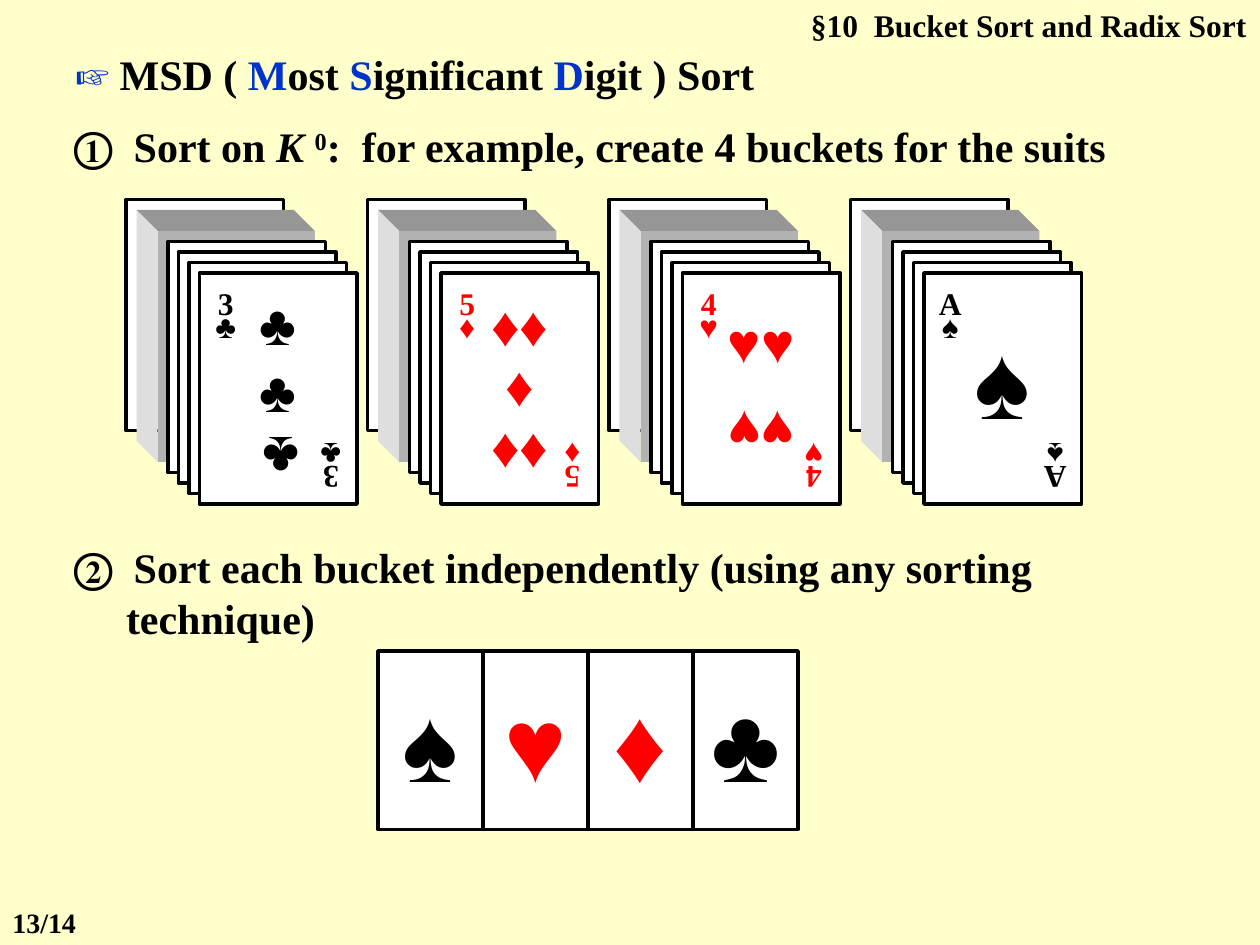
from dataclasses import dataclass
from typing import Any

from lxml.etree import SubElement
from pptx import Presentation
from pptx.dml.color import RGBColor
from pptx.enum.shapes import MSO_SHAPE as Shape
from pptx.enum.text import MSO_ANCHOR as Anchor, MSO_AUTO_SIZE as AutoSize, PP_ALIGN as Align
from pptx.oxml.ns import qn
from pptx.util import Pt

FONT = "Times New Roman"
BLACK, RED, BLUE, WHITE = "000000", "FF0000", "0033CC", "FFFFFF"
CARD_W, CARD_H = 90, 132
BUCKET_X, BUCKET_Y, BUCKET_STEP = 72, 114, 138
BLOCK, DEPTH = 18, 12
FRONT_CARDS = (24, 30, 36, 42)


@dataclass(frozen=True)
class Run:
    text: str
    color: str = BLACK
    italic: bool = False
    baseline: int = 0


@dataclass(frozen=True)
class Pips:
    x: float
    y: float
    w: float
    h: float
    lines: tuple[str, ...]
    size: float = 32
    spacing: float = 1
    rotation: float = 0


@dataclass(frozen=True)
class Bucket:
    rank: str
    suit: str
    color: str
    pips: tuple[Pips, ...]


BUCKETS = (
    Bucket("3", "♣", BLACK, (Pips(63, 54, 48, 72, ("♣", "♣")),
                             Pips(66, 128, 45, 42, ("♣",), rotation=180))),
    Bucket("5", "♦", RED, (Pips(63, 54, 48, 108, ("♦♦", "♦", "♦♦"), spacing=0.9),)),
    Bucket("4", "♥", RED, (Pips(63, 60, 48, 42, ("♥♥",)),
                           Pips(63, 113, 48, 42, ("♥♥",), rotation=180))),
    Bucket("A", "♠", BLACK, (Pips(63, 66, 48, 72, ("♠",), size=60),)),
)
SUITS = (("♠", BLACK), ("♥", RED), ("♦", RED), ("♣", BLACK))


def rgb(color: str) -> RGBColor:
    return RGBColor.from_string(color)


def place(sp: Any, x: float, y: float, w: float, h: float) -> Any:
    sp.left, sp.top, sp.width, sp.height = Pt(x), Pt(y), Pt(w), Pt(h)
    return sp


def write(sp: Any, *lines: tuple[Run, ...], size: float = 24, align: Any = Align.LEFT,
          anchor: Any = Anchor.TOP, spacing: float = 1, side: float = 0,
          wrap: bool = True, hang: float = 0) -> None:
    tf = sp.text_frame
    tf.auto_size, tf.word_wrap, tf.vertical_anchor = AutoSize.NONE, wrap, anchor
    tf.margin_left = tf.margin_right = Pt(side)
    tf.margin_top = tf.margin_bottom = Pt(3.6)
    for i, line in enumerate(lines):
        p = tf.add_paragraph() if i else tf.paragraphs[0]
        p.alignment, p.line_spacing, p.space_before = align, spacing, Pt(0)
        pPr = p._p.get_or_add_pPr()
        pPr.set("marL", str(Pt(hang)))
        pPr.set("indent", str(-Pt(hang)))
        SubElement(pPr, qn("a:buNone"))
        for run in line:
            r = p.add_run()
            r.text = run.text
            f = r.font
            f.name, f.size, f.bold, f.italic = FONT, Pt(size), True, run.italic
            f.color.rgb = rgb(run.color)
            if run.baseline:
                r._r.get_or_add_rPr().set("baseline", str(run.baseline * 1000))


def paint(sp: Any, fill: str, line: str | None = None) -> Any:
    sp.shadow.inherit = False
    sp.fill.solid()
    sp.fill.fore_color.rgb = rgb(fill)
    if line:
        sp.line.color.rgb = rgb(line)
        sp.line.width = Pt(2)
    else:
        sp.line.fill.background()
    return sp


def add_rect(shapes: Any, x: float, y: float, w: float, h: float,
             fill: str = WHITE, line: str | None = BLACK) -> Any:
    sp = shapes.add_shape(Shape.RECTANGLE, Pt(x), Pt(y), Pt(w), Pt(h))
    return paint(sp, fill, line)


def add_face(shapes: Any, points: list[tuple[float, float]], fill: str) -> None:
    start, *rest = [(Pt(x), Pt(y)) for x, y in points]
    builder = shapes.build_freeform(*start)
    builder.add_line_segments(rest, close=True)
    paint(builder.convert_to_shape(), fill)


def add_block(shapes: Any, x: float, y: float) -> None:
    right, bottom, back_x, back_y = x + CARD_W, y + CARD_H, x - DEPTH, y - DEPTH
    add_rect(shapes, x, y, CARD_W, CARD_H, "B2B2B2", None)
    add_face(shapes, [(back_x, back_y), (right - DEPTH, back_y), (right, y), (x, y)], "969696")
    add_face(shapes, [(back_x, back_y), (x, y), (x, bottom), (back_x, bottom - DEPTH)], "DEDEDE")


def add_bucket(s: Any, bucket: Bucket, x: float, y: float) -> None:
    shapes = s.shapes.add_group_shape().shapes
    add_rect(shapes, x, y, CARD_W, CARD_H)
    add_block(shapes, x + BLOCK, y + BLOCK)
    for offset in FRONT_CARDS:
        add_rect(shapes, x + offset, y + offset, CARD_W, CARD_H)
    label = (bucket.rank, bucket.suit)
    corners = (Pips(42, 51, 30, 36, label, 18, 0.6),
               Pips(102, 132, 30, 36, label, 18, 0.6, 180))
    for pips in corners + bucket.pips:
        sp = shapes.add_textbox(Pt(x + pips.x), Pt(y + pips.y), Pt(pips.w), Pt(pips.h))
        sp.rotation = pips.rotation
        write(sp, *((Run(t, bucket.color),) for t in pips.lines), size=pips.size,
              align=Align.CENTER, anchor=Anchor.MIDDLE, spacing=pips.spacing, wrap=False)


prs = Presentation()
prs.slide_width, prs.slide_height = Pt(720), Pt(540)
s = prs.slides.add_slide(prs.slide_layouts[3])
s.background.fill.solid()
s.background.fill.fore_color.rgb = rgb("FFFFCC")

title, first_step, second_step = s.placeholders
write(place(title, 36, 24, 648, 36),
      (Run("☞", BLUE), Run(" MSD ( "), Run("M", BLUE), Run("ost "), Run("S", BLUE),
       Run("ignificant "), Run("D", BLUE), Run("igit ) Sort")), side=7.2)
write(place(first_step, 42, 65.5, 630, 36),
      (Run("①  Sort on "), Run("K ", italic=True), Run("0", baseline=30),
       Run(":  for example, create 4 buckets for the suits")))
write(place(second_step, 42, 306, 642, 65),
      (Run("②  Sort each bucket independently (using any sorting technique)"),), hang=30)

for i, bucket in enumerate(BUCKETS):
    add_bucket(s, bucket, BUCKET_X + i * BUCKET_STEP, BUCKET_Y)

for i, (suit, color) in enumerate(SUITS):
    write(add_rect(s.shapes, 216 + i * 60, 372, 60, 102), (Run(suit, color),), size=60,
          align=Align.CENTER, anchor=Anchor.MIDDLE, wrap=False)

section = s.shapes.add_textbox(Pt(420), Pt(0), Pt(299.5), Pt(29))
write(section, (Run("§10  Bucket Sort and Radix Sort"),), size=18, align=Align.RIGHT, side=7.2)
page = s.shapes.add_textbox(Pt(0), Pt(514), Pt(70.5), Pt(26))
write(page, (Run("13/14"),), size=16, side=7.2)

prs.save("out.pptx")
